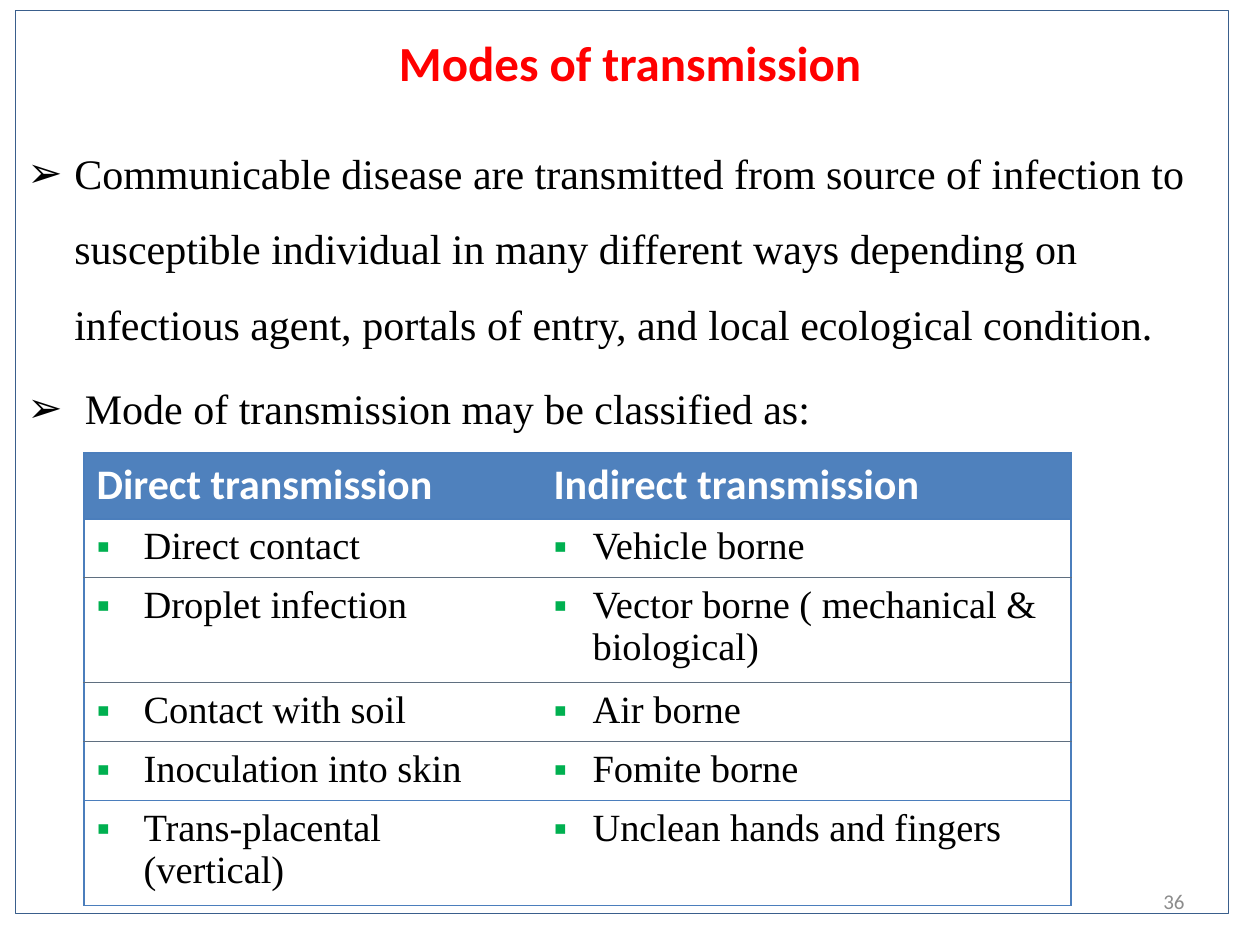
from dataclasses import dataclass

from lxml.etree import SubElement
from pptx import Presentation
from pptx.dml.color import RGBColor
from pptx.enum.shapes import MSO_SHAPE
from pptx.enum.text import MSO_ANCHOR, PP_ALIGN
from pptx.oxml.ns import qn
from pptx.util import Emu, Pt

EMU_PER_PX = 914400 / 126
SERIF, SANS = "Times New Roman", "Calibri"
BLACK, WHITE, RED, GREY = "000000", "FFFFFF", "FF0000", "8C8C8C"
HEADER_BLUE, EDGE_BLUE, FRAME_BLUE, RULE_GREY = "4F81BD", "4B7EBC", "3A5F8C", "5F6F80"


@dataclass(frozen=True)
class Area:
    left: int
    top: int
    width: int
    height: int

    def emu(self) -> tuple:
        return px(self.left), px(self.top), px(self.width), px(self.height)


@dataclass(frozen=True)
class Style:
    size: int
    font: str
    color: str
    bold: bool = False


@dataclass(frozen=True)
class Bullet:
    char: str
    indent: int
    color: str = BLACK


@dataclass(frozen=True)
class Edge:
    color: str
    width: float


TITLE = Style(28, SANS, RED, True)
BODY = Style(24, SERIF, BLACK)
NUMBER = Style(12, SANS, GREY)
HEADER = Style(24, SANS, WHITE, True)
ENTRY = Style(22, SERIF, BLACK)
ARROW = Bullet("➢", 47)
COLUMN_BULLETS = (Bullet("▪", 47, "00B050"), Bullet("▪", 39, "00B050"))
OUTER, INNER = Edge(EDGE_BLUE, 1), Edge(RULE_GREY, 0.5)

STATEMENTS = (
    "Communicable disease are transmitted from source of infection to susceptible "
    "individual in many different ways depending on infectious agent, portals of "
    "entry, and local ecological condition.",
    " Mode of transmission may be classified as:",
)
ROWS = (
    ("Direct transmission", "Indirect transmission"),
    ("Direct contact", "Vehicle borne"),
    ("Droplet infection", "Vector borne ( mechanical & biological)"),
    ("Contact with soil", "Air borne"),
    ("Inoculation into skin", "Fomite borne"),
    ("Trans-placental (vertical)", "Unclean hands and fingers"),
)
COLUMN_WIDTHS = (457, 530)
ROW_HEIGHTS = (66, 58, 98, 58, 58, 104)
# One edge above the header, then one below each row.
ROW_EDGES = (OUTER, OUTER, INNER, INNER, INNER, OUTER, OUTER)


def px(length: int) -> Emu:
    return Emu(round(length * EMU_PER_PX))


def rgb(color: str) -> RGBColor:
    return RGBColor.from_string(color)


def format_paragraph(paragraph, style: Style, align=PP_ALIGN.LEFT) -> None:
    paragraph.alignment = align
    for span in paragraph.runs:
        span.font.size = Pt(style.size)
        span.font.name = style.font
        span.font.bold = style.bold
        span.font.color.rgb = rgb(style.color)


def add_bullet(paragraph, bullet: Bullet) -> None:
    """Give the paragraph a hanging bullet; call before setting spacing."""
    properties = paragraph._p.get_or_add_pPr()
    properties.set("marL", str(px(bullet.indent)))
    properties.set("indent", str(-px(bullet.indent)))
    color = SubElement(properties, qn("a:buClr"))
    SubElement(color, qn("a:srgbClr"), val=bullet.color)
    SubElement(properties, qn("a:buFont"), typeface="Arial")
    SubElement(properties, qn("a:buChar"), char=bullet.char)


def add_text(page, area: Area, text: str, style: Style, align=PP_ALIGN.LEFT,
             anchor=MSO_ANCHOR.TOP):
    frame = page.shapes.add_textbox(*area.emu()).text_frame
    frame.word_wrap = True
    frame.vertical_anchor = anchor
    frame.text = text
    for paragraph in frame.paragraphs:
        format_paragraph(paragraph, style, align)
    return frame


def set_title(page, area: Area, text: str) -> None:
    title = page.shapes.title
    title.left, title.top, title.width, title.height = area.emu()
    title.text_frame.text = text
    title.text_frame.vertical_anchor = MSO_ANCHOR.MIDDLE
    format_paragraph(title.text_frame.paragraphs[0], TITLE, PP_ALIGN.CENTER)


def add_statements(page, area: Area) -> None:
    frame = add_text(page, area, "\n".join(STATEMENTS), BODY)
    for index, paragraph in enumerate(frame.paragraphs):
        add_bullet(paragraph, ARROW)
        paragraph.line_spacing = 1.5
        if index:
            paragraph.space_before = Pt(4.8)


def add_frame(page, area: Area) -> None:
    frame = page.shapes.add_shape(MSO_SHAPE.RECTANGLE, *area.emu())
    frame.shadow.inherit = False
    frame.fill.background()
    frame.line.color.rgb = rgb(FRAME_BLUE)
    frame.line.width = Pt(0.5)


def set_borders(cell, edges: dict) -> None:
    """Draw the given sides in schema order, ahead of the cell fill."""
    properties = cell._tc.get_or_add_tcPr()
    for position, side in enumerate(("lnL", "lnR", "lnT", "lnB")):
        edge = edges.get(side)
        line = SubElement(properties, qn(f"a:{side}"))
        properties.insert(position, line)
        if edge is None:
            SubElement(line, qn("a:noFill"))
            continue
        line.set("w", str(Pt(edge.width)))
        fill = SubElement(line, qn("a:solidFill"))
        SubElement(fill, qn("a:srgbClr"), val=edge.color)


def add_transmission_table(page, area: Area) -> None:
    table = page.shapes.add_table(len(ROWS), len(COLUMN_WIDTHS), *area.emu()).table
    table.horz_banding = False
    for column, width in zip(table.columns, COLUMN_WIDTHS):
        column.width = px(width)
    for row_index, (row, height, texts) in enumerate(zip(table.rows, ROW_HEIGHTS, ROWS)):
        row.height = px(height)
        is_header = row_index == 0
        for column_index, (cell, text) in enumerate(zip(row.cells, texts)):
            cell.text_frame.text = text
            paragraph = cell.text_frame.paragraphs[0]
            if not is_header:
                add_bullet(paragraph, COLUMN_BULLETS[column_index])
            format_paragraph(paragraph, HEADER if is_header else ENTRY)
            if is_header:
                cell.fill.solid()
                cell.fill.fore_color.rgb = rgb(HEADER_BLUE)
            else:
                cell.fill.background()
            outer_side = "lnL" if column_index == 0 else "lnR"
            set_borders(cell, {outer_side: OUTER, "lnT": ROW_EDGES[row_index],
                               "lnB": ROW_EDGES[row_index + 1]})


def main() -> None:
    deck = Presentation()
    deck.slide_width, deck.slide_height = px(1260), px(945)
    page = deck.slides.add_slide(deck.slide_layouts[5])
    set_title(page, Area(63, 18, 1134, 88), "Modes of transmission")
    add_statements(page, Area(15, 116, 1202, 809))
    add_text(page, Area(903, 876, 294, 50), "36", NUMBER, PP_ALIGN.RIGHT,
             MSO_ANCHOR.MIDDLE)
    add_frame(page, Area(15, 10, 1213, 903))
    add_transmission_table(page, Area(84, 453, sum(COLUMN_WIDTHS), sum(ROW_HEIGHTS)))
    deck.save("out.pptx")


if __name__ == "__main__":
    main()
